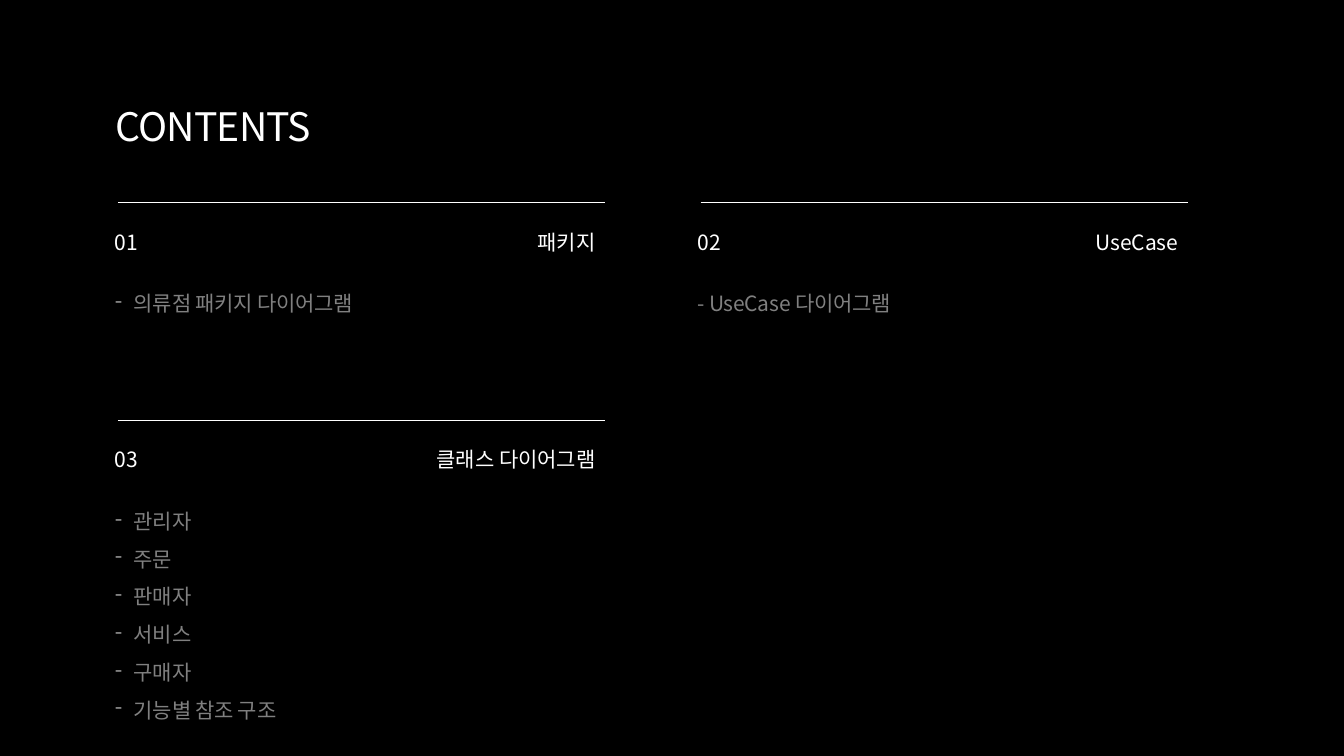
from lxml import etree
from pptx import Presentation
from pptx import util as u
from pptx.dml.color import RGBColor
from pptx.enum import shapes, text
from pptx.oxml import ns

FONT = "Noto Sans CJK KR"
BLACK, WHITE, GRAY = "000000", "FFFFFF", "808080"
TITLE = "CONTENTS"
# column, row, number, name, bulleted, items
SECTIONS = [
    (0, 0, "01", "패키지", True, ["의류점 패키지 다이어그램"]),
    (1, 0, "02", "UseCase", False, ["- UseCase 다이어그램"]),
    (0, 1, "03", "클래스 다이어그램", True,
     ["관리자", "주문", "판매자", "서비스", "구매자", "기능별 참조 구조"]),
]
LEFT, TOP = 75, 144.6
COLUMN_STEP, ROW_STEP = 416.2, 155.5
LINE_HEIGHT = 27.2
INDENT = 13.5


def color(value):
    return RGBColor.from_string(value)


def add_element(parent, tag, **attributes):
    return etree.SubElement(parent, ns.qn(tag), attributes)


def place(shape, left, top, width, height):
    shape.left, shape.top = u.Pt(left), u.Pt(top)
    shape.width, shape.height = u.Pt(width), u.Pt(height)


def write(shape, lines, size=15, ink=WHITE, align=text.PP_ALIGN.LEFT,
          spacing=1.5, tracking=0, bulleted=False):
    """Fill a shape with one paragraph per line; tracking is in 1/100 pt."""
    frame = shape.text_frame
    frame.word_wrap = True
    frame.auto_size = text.MSO_AUTO_SIZE.NONE
    frame.vertical_anchor = text.MSO_ANCHOR.TOP
    frame.text = "\n".join(lines)
    for paragraph in frame.paragraphs:
        paragraph.alignment = align
        paragraph.line_spacing = spacing
        paragraph.space_before = paragraph.space_after = u.Pt(0)
        properties = paragraph._p.get_or_add_pPr()
        indent = u.Pt(INDENT) if bulleted else 0
        properties.set("marL", str(indent))
        properties.set("indent", str(-indent))
        if bulleted:
            add_element(properties, "a:buFontTx")
            add_element(properties, "a:buChar", char="-")
        else:
            add_element(properties, "a:buNone")
        font = paragraph.font
        font.size, font.name, font.bold = u.Pt(size), FONT, False
        font.color.rgb = color(ink)
        font._element.set("spc", str(tracking))
        add_element(font._element, "a:ea", typeface=FONT)


def add_label(slide, label, left, top, width, align):
    box = slide.shapes.add_textbox(u.Pt(left), u.Pt(top), u.Pt(width), u.Pt(31.7))
    write(box, [label], align=align)


def add_rule(slide, left, top, width):
    line = slide.shapes.add_connector(
        shapes.MSO_CONNECTOR.STRAIGHT,
        u.Pt(left), u.Pt(top), u.Pt(left + width), u.Pt(top))
    line.line.color.rgb = color(WHITE)
    line.line.width = u.Pt(0.75)
    add_element(line._element.spPr, "a:effectLst")


def add_section(slide, body, section):
    column, row, number, name, bulleted, items = section
    left = LEFT + column * COLUMN_STEP
    top = TOP + row * ROW_STEP
    add_rule(slide, left + 9.2, top, 348)
    add_label(slide, number, left, top + 6.6, 60.5, text.PP_ALIGN.LEFT)
    add_label(slide, name, left + 66, top + 6.6, 291.6, text.PP_ALIGN.RIGHT)
    place(body, left, top + 50.5, 381, LINE_HEIGHT * len(items) + 4.5)
    write(body, items, ink=GRAY, tracking=-20, bulleted=bulleted)


def main():
    presentation = Presentation()
    presentation.slide_width, presentation.slide_height = u.Pt(960), u.Pt(540)
    comparison = presentation.slide_layouts[4]
    slide = presentation.slides.add_slide(comparison)
    slide.background.fill.solid()
    slide.background.fill.fore_color.rgb = color(BLACK)

    title, *bodies = slide.placeholders
    place(title, LEFT, 69.8, 244, 41)
    write(title, [TITLE], size=28, spacing=1, tracking=-50)
    for body, section in zip(bodies, SECTIONS):
        add_section(slide, body, section)
    for unused in bodies[len(SECTIONS):]:
        unused._element.getparent().remove(unused._element)
    presentation.save("out.pptx")


if __name__ == "__main__":
    main()
